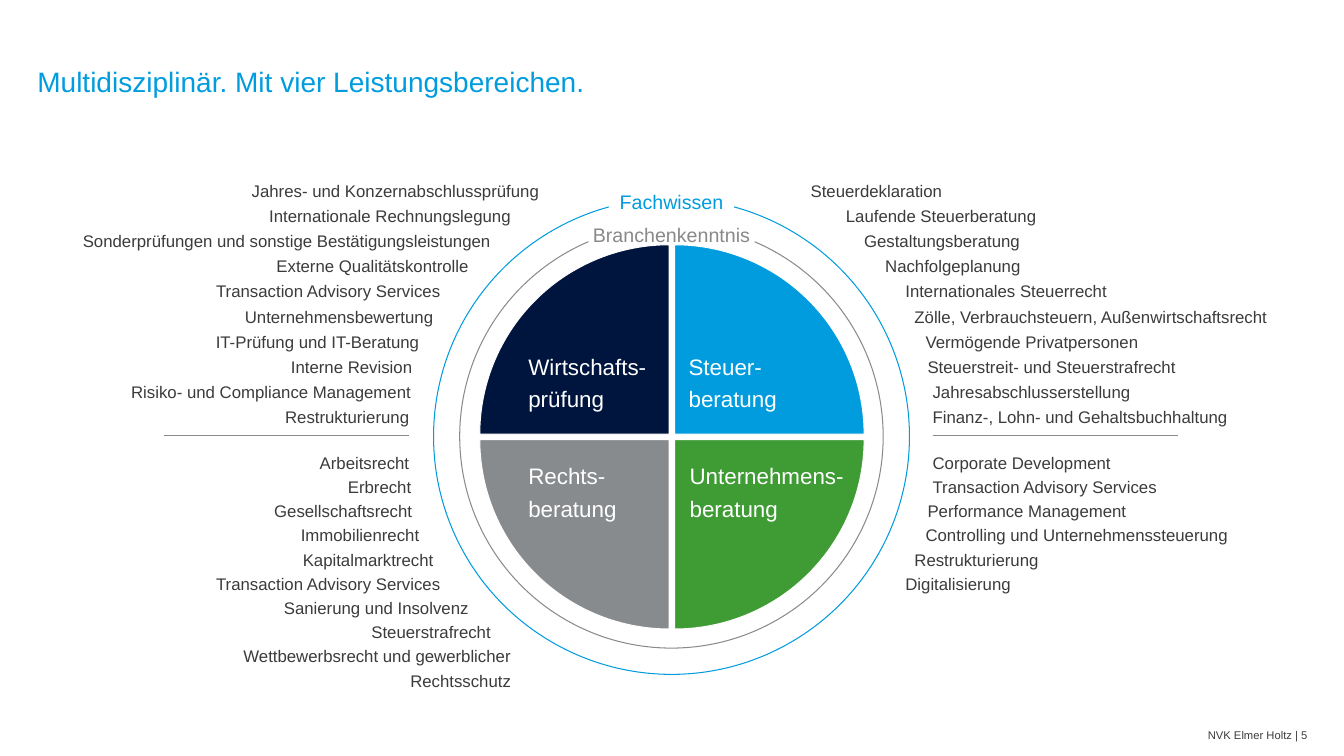
from dataclasses import dataclass

from lxml import etree
from pptx import Presentation
from pptx.chart.data import CategoryChartData
from pptx.dml.color import RGBColor
from pptx.enum.chart import XL_CHART_TYPE
from pptx.enum.shapes import MSO_CONNECTOR, MSO_SHAPE
from pptx.enum.text import MSO_ANCHOR, PP_ALIGN
from pptx.oxml.ns import qn
from pptx.util import Inches, Pt

LEFT, CENTER, RIGHT = PP_ALIGN.LEFT, PP_ALIGN.CENTER, PP_ALIGN.RIGHT
TOP, MIDDLE = MSO_ANCHOR.TOP, MSO_ANCHOR.MIDDLE
PIE, STRAIGHT = XL_CHART_TYPE.PIE, MSO_CONNECTOR.STRAIGHT
OVAL, RECTANGLE = MSO_SHAPE.OVAL, MSO_SHAPE.RECTANGLE


@dataclass(frozen=True)
class Theme:
    font: str = "Arial"
    blue: str = "009CDE"
    green: str = "3F9C35"
    gray: str = "888B8D"
    label_gray: str = "898989"
    navy: str = "00153D"
    ink: str = "3B3B3B"
    white: str = "FFFFFF"
    title: int = 20
    area: int = 16
    ring: int = 14
    service: int = 12
    chart: int = 10
    footer: int = 8
    hairline: float = 0.75


THEME = Theme()

TITLE = "Multidisziplinär. Mit vier Leistungsbereichen."
FOOTER = "NVK Elmer Holtz | 5"
SHARES = [("1", 25, THEME.blue), ("2", 25, THEME.green),
          ("3", 25, THEME.gray), ("4", 25, THEME.navy)]
AREAS = [
    ("Wirtschafts-\vprüfung", 5.24, 3.32, 1.26),
    ("Rechts-\vberatung", 5.24, 4.41, 1.26),
    ("Steuer-\vberatung", 6.83, 3.32, 1.6),
    ("Unternehmens-\vberatung", 6.84, 4.41, 1.6),
]
RINGS = [
    ("Fachwissen", 2.36, 1.84, 1.24, THEME.blue, THEME.blue),
    ("Branchenkenntnis", 2.1, 2.17, 1.65, THEME.gray, THEME.label_gray),
]
AUDIT = [
    ("Jahres- und Konzernabschlussprüfung", 5.35),
    ("Internationale Rechnungslegung", 5.07),
    ("Sonderprüfungen und sonstige Bestätigungsleistungen", 4.87),
    ("Externe Qualitätskontrolle", 4.65),
    ("Transaction Advisory Services", 4.37),
    ("Unternehmensbewertung", 4.3),
    ("IT-Prüfung und IT-Beratung", 4.16),
    ("Interne Revision", 4.09),
    ("Risiko- und Compliance Management", 4.08),
    ("Restrukturierung", 4.06),
]
LAW = [
    ("Arbeitsrecht", 4.06),
    ("Erbrecht", 4.08),
    ("Gesellschaftsrecht", 4.09),
    ("Immobilienrecht", 4.16),
    ("Kapitalmarktrecht", 4.3),
    ("Transaction Advisory Services", 4.37),
    ("Sanierung und Insolvenz", 4.65),
    ("Steuerstrafrecht", 4.87),
    ("Wettbewerbsrecht und gewerblicher Rechtsschutz", 5.07),
]
TAX = [
    ("Steuerdeklaration", 8.04),
    ("Laufende Steuerberatung", 8.39),
    ("Gestaltungsberatung", 8.57),
    ("Nachfolgeplanung", 8.78),
    ("Internationales Steuerrecht", 8.98),
    ("Zölle, Verbrauchsteuern, Außenwirtschaftsrecht", 9.07),
    ("Vermögende Privatpersonen", 9.18),
    ("Steuerstreit- und Steuerstrafrecht", 9.2),
    ("Jahresabschlusserstellung", 9.25),
    ("Finanz-, Lohn- und Gehaltsbuchhaltung", 9.25),
]
CONSULTING = [
    ("Corporate Development", 9.25),
    ("Transaction Advisory Services", 9.25),
    ("Performance Management", 9.2),
    ("Controlling und Unternehmenssteuerung", 9.18),
    ("Restrukturierung", 9.07),
    ("Digitalisierung", 8.98),
]
SERVICES = [(AUDIT, RIGHT, 1.75, 0.25), (LAW, RIGHT, 4.45, 0.24),
            (TAX, LEFT, 1.75, 0.25), (CONSULTING, LEFT, 4.45, 0.24)]
SERVICE_WIDTH = 3.66
WIDE_SERVICES = {AUDIT[2][0]: 4.15}
DIVIDER_STARTS, DIVIDER_WIDTH, DIVIDER_Y = (1.63, 9.25), 2.43, 4.32
WHEEL_X, WHEEL_Y = 6.66, 4.33


def rgb(color):
    return RGBColor.from_string(color)


def write(shape, text, size, color, align=LEFT, anchor=TOP, wrap=True, spacing=1.2):
    frame = shape.text_frame
    frame.margin_left = frame.margin_right = frame.margin_top = frame.margin_bottom = 0
    frame.word_wrap = wrap
    frame.vertical_anchor = anchor
    paragraph = frame.paragraphs[0]
    paragraph.text = text
    paragraph.alignment = align
    paragraph.line_spacing = spacing
    paragraph.space_before = Pt(0)
    paragraph.font.name = THEME.font
    paragraph.font.size = Pt(size)
    paragraph.font.color.rgb = rgb(color)


def place(shape, left, top, width, height):
    shape.left, shape.top = Inches(left), Inches(top)
    shape.width, shape.height = Inches(width), Inches(height)


def add_label(slide, box, *text, **style):
    write(slide.shapes.add_textbox(*map(Inches, box)), *text, **style)


def add_wheel(slide):
    shares = CategoryChartData()
    shares.categories = [name for name, _, _ in SHARES]
    shares.add_series("Series 1", [value for _, value, _ in SHARES])
    box = map(Inches, (4.61, 2.27, 4.11, 4.13))
    chart = slide.shapes.add_chart(PIE, *box, shares).chart
    chart.has_legend = chart.has_title = False
    chart.font.name, chart.font.size = THEME.font, Pt(THEME.chart)
    chart.font.color.rgb = rgb(THEME.ink)
    plot = chart.plots[0]
    plot.vary_by_categories = True
    series = plot.series[0]
    for index, (_, _, color) in enumerate(SHARES):
        slice_format = series.points[index].format
        slice_format.fill.solid()
        slice_format.fill.fore_color.rgb = rgb(color)
        slice_format.line.color.rgb = rgb(THEME.white)
        slice_format.line.width = Pt(THEME.hairline)
    for point in series._element.findall(qn("c:dPt")):
        explosion = etree.Element(qn("c:explosion"), val="2")
        point.find(qn("c:spPr")).addprevious(explosion)


def add_rings(slide):
    for _, radius, _, _, color, _ in RINGS:
        box = (WHEEL_X - radius, WHEEL_Y - radius, 2 * radius, 2 * radius)
        ring = slide.shapes.add_shape(OVAL, *map(Inches, box))
        ring.shadow.inherit = False
        ring.fill.background()
        ring.line.color.rgb = rgb(color)
        ring.line.width = Pt(THEME.hairline)
    for name, _, top, width, _, color in RINGS:
        box = (WHEEL_X - width / 2, top, width, 0.24)
        tag = slide.shapes.add_shape(RECTANGLE, *map(Inches, box))
        tag.shadow.inherit = False
        tag.fill.solid()
        tag.fill.fore_color.rgb = rgb(THEME.white)
        tag.line.fill.background()
        write(tag, name, THEME.ring, color, align=CENTER, wrap=False)


def add_services(slide):
    for services, align, top, pitch in SERVICES:
        for row, (service, edge) in enumerate(services):
            width = WIDE_SERVICES.get(service, SERVICE_WIDTH)
            left = edge - width if align == RIGHT else edge
            box = (left, top + row * pitch, width, 0.21)
            add_label(slide, box, service, THEME.service, THEME.ink, align=align)
    for start in DIVIDER_STARTS:
        ends = (start, DIVIDER_Y, start + DIVIDER_WIDTH, DIVIDER_Y)
        divider = slide.shapes.add_connector(STRAIGHT, *map(Inches, ends))
        divider.line.color.rgb = rgb(THEME.gray)
        divider.line.width = Pt(THEME.hairline)
        etree.SubElement(divider._element.spPr, qn("a:effectLst"))


def main():
    deck = Presentation()
    deck.slide_width, deck.slide_height = Inches(13.33), Inches(7.5)
    slide = deck.slides.add_slide(deck.slide_layouts[5])
    place(slide.shapes.title, 0.37, 0.68, 12.6, 0.59)
    write(slide.shapes.title, TITLE, THEME.title, THEME.blue, spacing=0.9)
    add_label(slide, (11.34, 7.22, 1.63, 0.12), FOOTER, THEME.footer, THEME.ink,
              align=RIGHT, anchor=MIDDLE)
    add_wheel(slide)
    for area, left, top, width in AREAS:
        add_label(slide, (left, top, width, 0.89), area, THEME.area, THEME.white,
                  anchor=MIDDLE, wrap=False)
    add_rings(slide)
    add_services(slide)
    deck.save("out.pptx")


if __name__ == "__main__":
    main()
